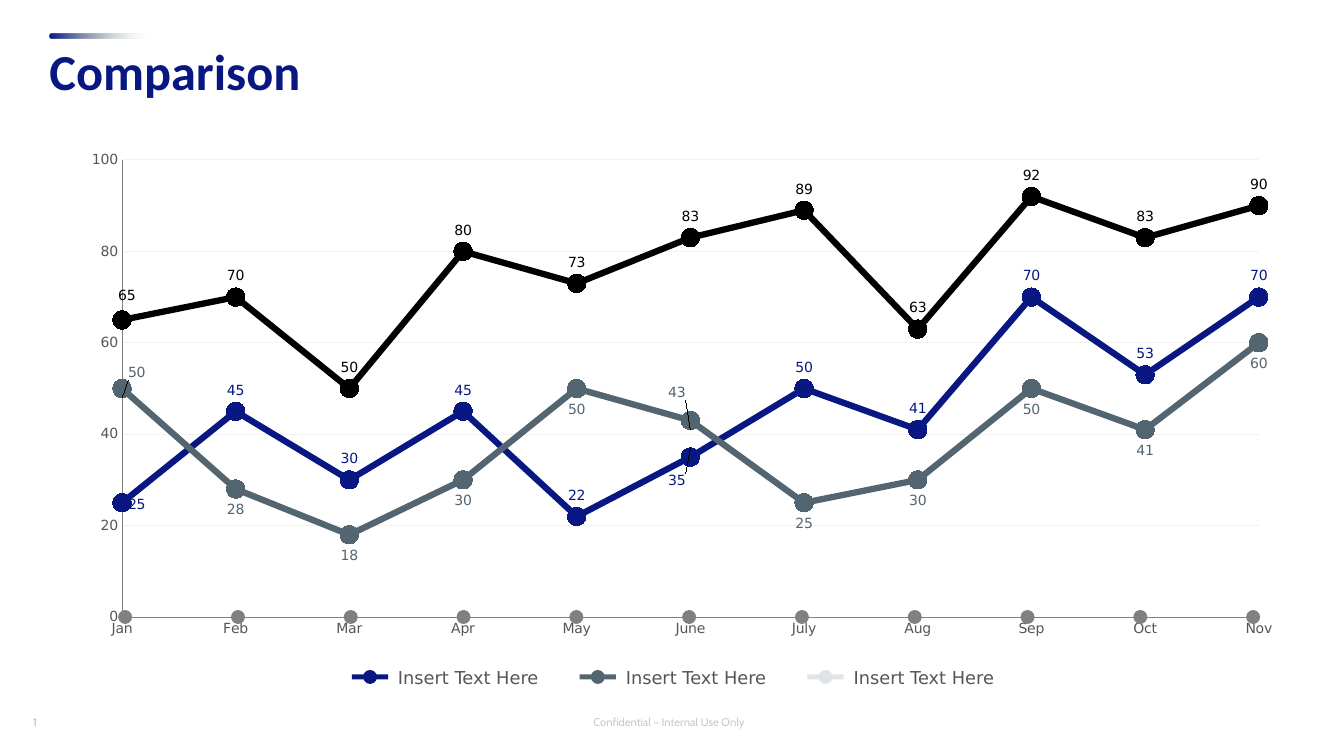
from lxml import etree
from pptx import Presentation
from pptx.chart.data import CategoryChartData
from pptx.dml.color import RGBColor
from pptx.enum.chart import XL_CHART_TYPE, XL_LABEL_POSITION, XL_MARKER_STYLE, XL_TICK_MARK
from pptx.enum.shapes import MSO_SHAPE
from pptx.enum.text import MSO_ANCHOR, PP_ALIGN
from pptx.oxml import parse_xml
from pptx.oxml.ns import nsdecls, qn
from pptx.util import Pt

ABOVE, BELOW = XL_LABEL_POSITION.ABOVE, XL_LABEL_POSITION.BELOW
NO_TICK = XL_TICK_MARK.NONE
CIRCLE = XL_MARKER_STYLE.CIRCLE
RECT, OVAL, ROUNDED = MSO_SHAPE.RECTANGLE, MSO_SHAPE.OVAL, MSO_SHAPE.ROUNDED_RECTANGLE
LEFT, CENTER = PP_ALIGN.LEFT, PP_ALIGN.CENTER
MIDDLE = MSO_ANCHOR.MIDDLE

NAVY = RGBColor(0x08, 0x17, 0x82)
SLATE = RGBColor(0x53, 0x65, 0x71)
BLACK = RGBColor(0x00, 0x00, 0x00)
PALE = RGBColor(0xE0, 0xE4, 0xE7)
TEXT_GRAY = RGBColor(0x54, 0x56, 0x5B)
AXIS_GRAY = RGBColor(0x80, 0x80, 0x80)
GRID_GRAY = RGBColor(0xF2, 0xF2, 0xF2)
FOOTER_GRAY = RGBColor(0xC6, 0xCA, 0xC6)
NUMBER_GRAY = RGBColor(0xB9, 0xBB, 0xBF)

TITLE_FONT, FOOTER_FONT, CHART_FONT = "Calibri", "Cabin", "DejaVu Sans"
DOT = 10

MONTHS = ["Jan", "Feb", "Mar", "Apr", "May", "June", "July", "Aug", "Sep", "Oct", "Nov"]
# Name, values, colour, label side, and label shifts by point (fractions of the chart)
SERIES = [
    ("Series 1", [25, 45, 30, 45, 22, 35, 50, 41, 70, 53, 70], NAVY, ABOVE,
     {0: (0.012, 0.045), 5: (-0.011, 0.088)}),
    ("Series 2", [50, 28, 18, 30, 50, 43, 25, 30, 50, 41, 60], SLATE, BELOW,
     {0: (0.012, -0.072), 5: (-0.011, -0.096)}),
    ("Series 3", [65, 70, 50, 80, 73, 83, 89, 63, 92, 83, 90], BLACK, ABOVE,
     {0: (0.004, -0.006)}),
]
LEGEND = [("Insert Text Here", NAVY), ("Insert Text Here", SLATE), ("Insert Text Here", PALE)]


def style_font(font, name, size, color, bold=False):
    font.name, font.size, font.bold = name, Pt(size), bold
    font.color.rgb = color


def add_block(slide, preset, left, top, width, height, color):
    block = slide.shapes.add_shape(preset, Pt(left), Pt(top), Pt(width), Pt(height))
    block.shadow.inherit = False
    block.fill.solid()
    block.fill.fore_color.rgb = color
    block.line.fill.background()
    return block


def add_label(slide, text, left, top, width, height, font, size, color,
              align=LEFT, inset=0, wrap=True):
    label = slide.shapes.add_textbox(Pt(left), Pt(top), Pt(width), Pt(height))
    frame = label.text_frame
    frame.margin_left = frame.margin_right = Pt(inset)
    frame.margin_top = frame.margin_bottom = Pt(inset / 2)
    frame.word_wrap = wrap
    frame.vertical_anchor = MIDDLE
    frame.text = text
    frame.paragraphs[0].alignment = align
    style_font(frame.paragraphs[0].runs[0].font, font, size, color)


def manual_layout(x, y, size=None):
    """Return a layout: a shift for a label, or the inner plot area when a size is given."""
    target = modes = extent = ""
    if size:
        target = '<c:layoutTarget val="inner"/>'
        modes = '<c:xMode val="edge"/><c:yMode val="edge"/>'
        extent = f'<c:w val="{size[0]}"/><c:h val="{size[1]}"/>'
    return parse_xml(f'<c:layout {nsdecls("c")}><c:manualLayout>{target}{modes}'
                     f'<c:x val="{x}"/><c:y val="{y}"/>{extent}</c:manualLayout></c:layout>')


def add_title(slide, left, top, width, height):
    accent = add_block(slide, ROUNDED, left, top - 10, 73.4, 3.6, NAVY)
    accent.adjustments[0] = 0.5
    accent.fill.gradient()
    accent.fill.gradient_angle = 0
    stops = accent._element.spPr.find(qn("a:gradFill")).find(qn("a:gsLst"))
    for old_stop in list(stops):
        stops.remove(old_stop)
    for place, color, alpha in ((0, "081783", 100), (50, "637784", 50), (100, "F4F8F7", 0)):
        stop = etree.SubElement(stops, qn("a:gs"), pos=str(place * 1000))
        shade = etree.SubElement(stop, qn("a:srgbClr"), val=color)
        etree.SubElement(shade, qn("a:alpha"), val=str(alpha * 1000))

    title = slide.shapes.title
    title.left, title.top, title.width, title.height = Pt(left), Pt(top), Pt(width), Pt(height)
    frame = title.text_frame
    frame.margin_left = frame.margin_right = frame.margin_top = frame.margin_bottom = 0
    frame.vertical_anchor = MIDDLE
    frame.text = "Comparison"
    heading = frame.paragraphs[0]
    heading.alignment, heading.line_spacing = LEFT, 0.9
    style_font(heading.runs[0].font, TITLE_FONT, 36, NAVY, bold=True)


def style_axes(chart):
    for axis in (chart.category_axis, chart.value_axis):
        axis.major_tick_mark = axis.minor_tick_mark = NO_TICK
        axis.format.line.color.rgb = AXIS_GRAY
        axis.format.line.width = Pt(0.75)
        style_font(axis.tick_labels.font, CHART_FONT, 10, TEXT_GRAY)
    values = chart.value_axis
    values.minimum_scale, values.maximum_scale, values.major_unit = 0, 100, 20
    values.tick_labels.number_format = "#,##0"
    values.tick_labels.number_format_is_linked = False
    values.major_gridlines.format.line.color.rgb = GRID_GRAY
    values.major_gridlines.format.line.width = Pt(0.75)
    # Start the lines on the value axis itself
    for crossing in values._element.findall(qn("c:crossBetween")):
        values._element.remove(crossing)
    values._element.find(qn("c:crosses")).addnext(
        parse_xml(f'<c:crossBetween {nsdecls("c")} val="midCat"/>'))


def style_series(series, color, side, shifts):
    series.smooth = False
    series.format.line.color.rgb = color
    series.format.line.width = Pt(4.5)
    marker = series.marker
    marker.style, marker.size = CIRCLE, 13
    marker.format.fill.solid()
    marker.format.fill.fore_color.rgb = color
    marker.format.line.color.rgb = color
    labels = series.data_labels
    labels.show_value, labels.position = True, side
    style_font(labels.font, CHART_FONT, 10, color)
    for index, (x, y) in shifts.items():
        label = series.points[index].data_label
        label.position = side
        style_font(label.font, CHART_FONT, 10, color)
        number = series._element.xpath(f'c:dLbls/c:dLbl/c:idx[@val="{index}"]')[0]
        number.addnext(manual_layout(x, y))


def add_line_chart(slide, left, top, width, height):
    data = CategoryChartData()
    data.categories = MONTHS
    for name, values, *_ in SERIES:
        data.add_series(name, values)
    chart = slide.shapes.add_chart(XL_CHART_TYPE.LINE_MARKERS, Pt(left), Pt(top),
                                   Pt(width), Pt(height), data).chart
    chart.has_title = chart.has_legend = False
    style_font(chart.font, CHART_FONT, 10, TEXT_GRAY)
    plot = chart.plots[0]
    plot.vary_by_categories = False
    style_axes(chart)
    for series, (_, _, color, side, shifts) in zip(plot.series, SERIES):
        style_series(series, color, side, shifts)
    plot_area = chart._chartSpace.chart.plotArea
    for old_layout in plot_area.findall(qn("c:layout")):
        plot_area.remove(old_layout)
    plot_area.insert(0, manual_layout(0.047, 0.033, (0.929, 0.891)))

    month_pitch = 80.57
    for index in range(len(MONTHS)):
        add_block(slide, OVAL, left + 38.3 + index * month_pitch, top + 333.5, DOT, DOT, AXIS_GRAY)


def add_legend(slide, left, top, pitch, height):
    for index, (text, color) in enumerate(LEGEND):
        x, middle = left + index * pitch, top + height / 2
        add_label(slide, text, x + 33, top, 104.4, height, CHART_FONT, 12.7, TEXT_GRAY, wrap=False)
        add_block(slide, RECT, x, middle - 1.8, 26, 3.6, color)
        add_block(slide, OVAL, x + 8, middle - DOT / 2, DOT, DOT, color)


def add_footer(slide, top, width, height):
    add_label(slide, "Confidential –\u00a0Internal Use Only".replace("\u00a0", " "), 370, top,
              width, height, FOOTER_FONT, 8, FOOTER_GRAY, align=CENTER, inset=7.2)
    add_label(slide, "1", 16.6, top, width, height, FOOTER_FONT, 8, NUMBER_GRAY, inset=7.2)


def main():
    deck = Presentation()
    deck.slide_width, deck.slide_height = Pt(960), Pt(540)
    slide = deck.slides.add_slide(deck.slide_layouts[5])
    add_footer(slide, 504, 216, 23)
    add_title(slide, 35.3, 33.8, 887, 38.2)
    add_line_chart(slide, 46.1, 102.2, 874.1, 366.5)
    add_legend(slide, 251.3, 476, 162.7, 15.1)
    deck.save("out.pptx")


if __name__ == "__main__":
    main()
